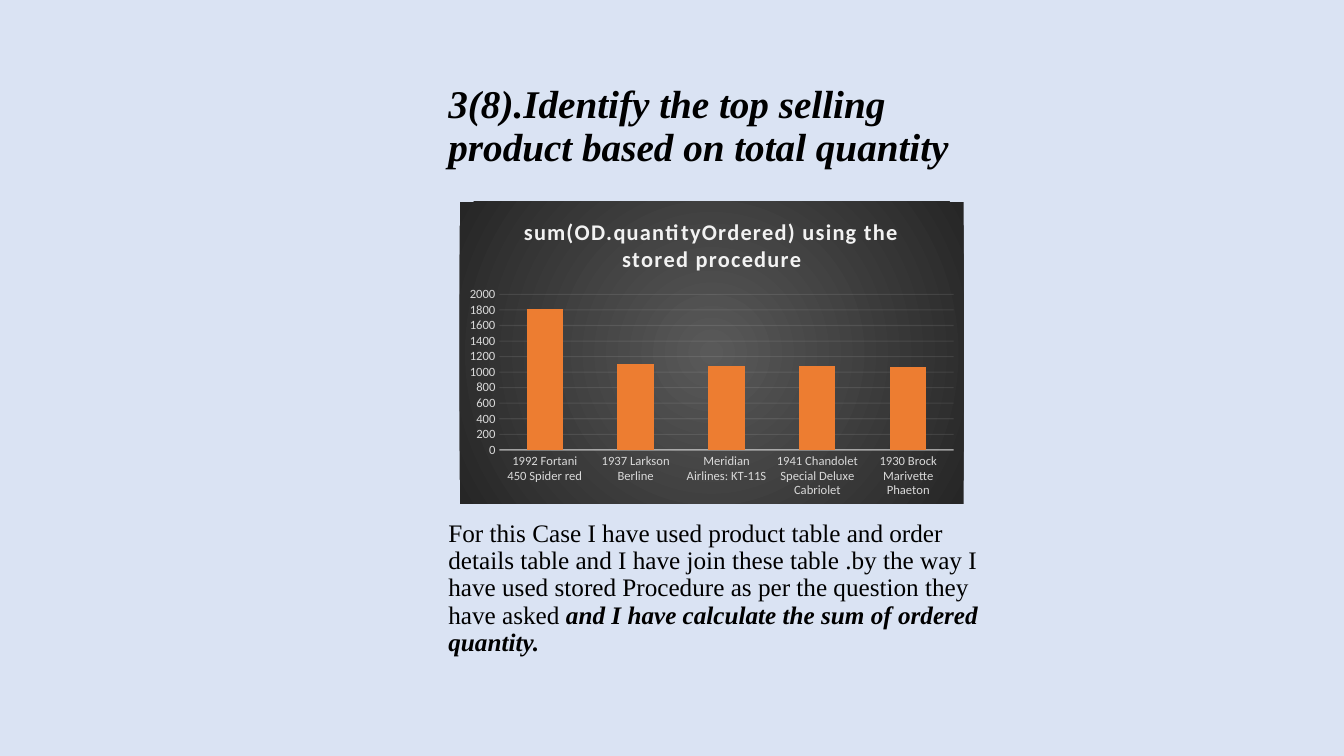
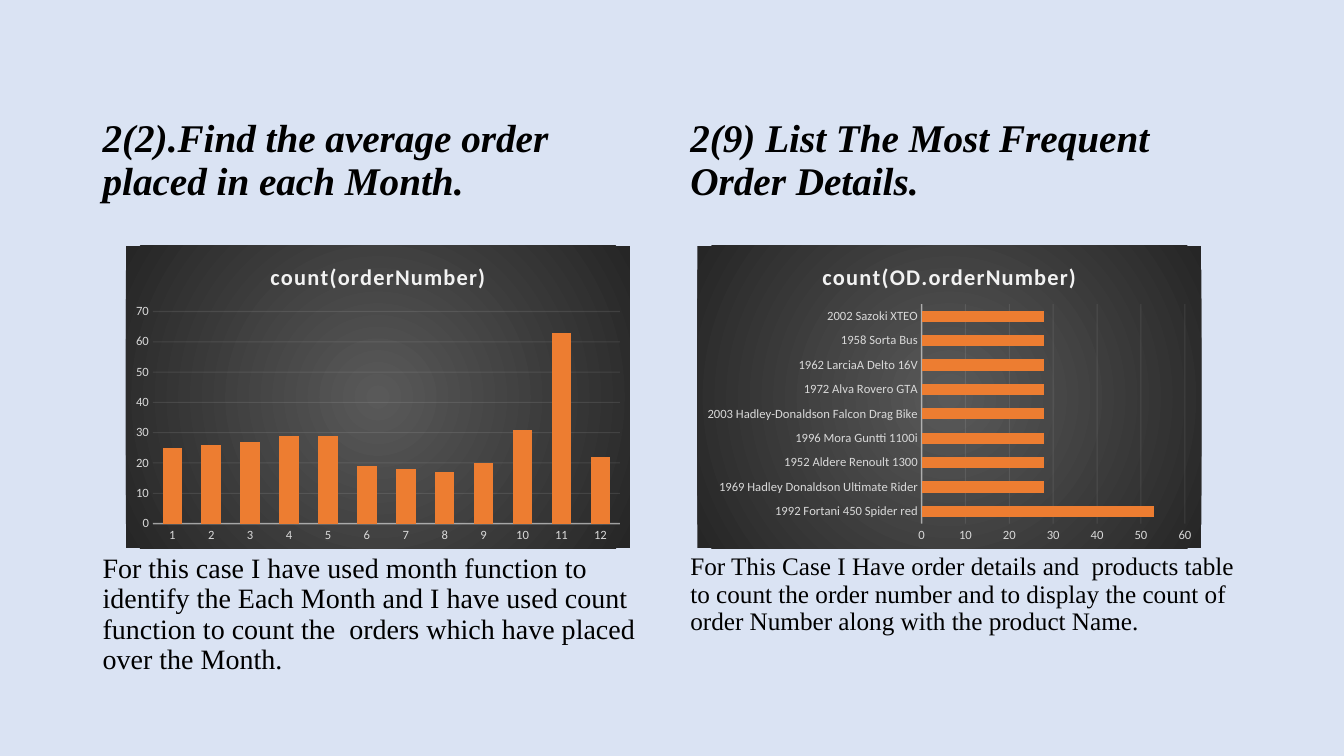
"""Build two slides of order-analysis panels, each a heading, a chart and a remark."""
from pptx import Presentation
from pptx.chart.data import CategoryChartData
from pptx.dml.color import RGBColor
from pptx.enum.chart import XL_CHART_TYPE, XL_TICK_MARK
from pptx.oxml import ns, parse_xml
from pptx.util import Pt

BACKGROUND = "DAE3F3"
INK = "000000"
BAR = "ED7D31"
PALE = "F2F2F2"
LABEL = "D9D9D9"
PANEL_CENTRE, PANEL_EDGE = "595959", "262626"
TEXT_FONT, CHART_FONT = "Times New Roman", "Calibri"
TEXT_WIDTH = 408
CHART_WIDTH, CHART_HEIGHT = 360, 216
LINE_PITCH = {18: 19.45, 20: 21.65, 28: 30.6}


def color(value):
    return RGBColor.from_string(value)


def style_font(font, name, size, value, bold=False, italic=False):
    font.name, font.size = name, Pt(size)
    font.color.rgb = color(value)
    font.bold, font.italic = bold, italic


def add_slide(presentation):
    slide = presentation.slides.add_slide(presentation.slide_layouts[6])
    fill = slide.background.fill
    fill.solid()
    fill.fore_color.rgb = color(BACKGROUND)
    return slide


def add_text(slide, left, top, height, size, runs):
    box = slide.shapes.add_textbox(Pt(left), Pt(top), Pt(TEXT_WIDTH), Pt(height))
    frame = box.text_frame
    frame.word_wrap = True
    frame.margin_top = frame.margin_bottom = 0
    paragraph = frame.paragraphs[0]
    paragraph.line_spacing = Pt(LINE_PITCH[size])
    for content, strong in runs:
        run = paragraph.add_run()
        run.text = content
        style_font(run.font, TEXT_FONT, size, INK, strong, strong)


def fade(chart, query, percent):
    for node in chart.element.xpath(query):
        alpha = node.makeelement(ns.qn("a:alpha"), {"val": str(percent * 1000)})
        node.append(alpha)


def fill_panel(chart):
    stops = "".join(
        f'<a:gs pos="{position}"><a:srgbClr val="{value}"/></a:gs>'
        for position, value in ((0, PANEL_CENTRE), (100000, PANEL_EDGE))
    )
    properties = parse_xml(
        f'<c:spPr {ns.nsdecls("c", "a")}><a:gradFill><a:gsLst>{stops}</a:gsLst>'
        '<a:path path="circle"><a:fillToRect l="50000" t="50000" r="50000" b="50000"/>'
        "</a:path></a:gradFill><a:ln><a:noFill/></a:ln></c:spPr>"
    )
    chart.element.find(ns.qn("c:txPr")).addprevious(properties)


def style_axes(chart):
    category, value = chart.category_axis, chart.value_axis
    for axis in (category, value):
        axis.major_tick_mark = axis.minor_tick_mark = XL_TICK_MARK.NONE
        style_font(axis.tick_labels.font, CHART_FONT, 9, LABEL)
    category.has_major_gridlines = False
    value.has_major_gridlines = True
    value.format.line.fill.background()
    for line, width in (
        (category.format.line, 1),
        (value.major_gridlines.format.line, 0.75),
    ):
        line.color.rgb = color(PALE)
        line.width = Pt(width)
    fade(chart, ".//c:catAx/c:spPr//a:srgbClr", 54)
    fade(chart, ".//c:majorGridlines//a:srgbClr", 10)


def add_title(chart, title):
    chart.has_title = True
    run = chart.chart_title.text_frame.paragraphs[0].add_run()
    run.text = title
    style_font(run.font, CHART_FONT, 16, PALE, bold=True)
    chart.chart_title.include_in_layout = False
    for properties in chart.element.xpath(".//c:title//a:r/a:rPr"):
        properties.set("spc", "100")


def add_bars(slide, left, top, kind, title, series_name, values, gap, overlap):
    data = CategoryChartData()
    data.categories = list(values)
    data.add_series(series_name, list(values.values()))
    chart = slide.shapes.add_chart(
        kind, Pt(left), Pt(top), Pt(CHART_WIDTH), Pt(CHART_HEIGHT), data
    ).chart
    chart.has_legend = False
    style_font(chart.font, CHART_FONT, 10, INK)
    add_title(chart, title)
    style_axes(chart)
    fill_panel(chart)
    plot = chart.plots[0]
    plot.vary_by_categories = False
    plot.gap_width, plot.overlap = gap, overlap
    fill = plot.series[0].format.fill
    fill.solid()
    fill.fore_color.rgb = color(BAR)


def add_panel(slide, left, top, heading, remark, remark_top, remark_size):
    add_text(slide, left, top, 64, 28, [(heading, True)])
    add_text(slide, left, remark_top, 100, remark_size, remark)


def build_top_products(presentation):
    slide = add_slide(presentation)
    remark = [
        (
            "For this Case I have used product table and order details table and "
            "I have join these table .by the way I have used stored Procedure as "
            "per the question they have asked ",
            False,
        ),
        ("and I have calculate the sum of ordered quantity.", True),
    ]
    add_panel(
        slide, 313.2, 59.6,
        "3(8).Identify the top selling product based on total quantity",
        remark, 371.6, 18,
    )
    quantities = {
        "1992 Fortani 450 Spider red": 1810,
        "1937 Larkson Berline": 1110,
        "Meridian Airlines: KT-11S": 1080,
        "1941 Chandolet Special Deluxe Cabriolet": 1080,
        "1930 Brock Marivette Phaeton": 1070,
    }
    add_bars(
        slide, 328.4, 144, XL_CHART_TYPE.COLUMN_STACKED,
        "sum(OD.quantityOrdered) using the stored procedure",
        "Series 1", quantities, 150, 100,
    )


def build_order_counts(presentation):
    slide = add_slide(presentation)
    add_panel(
        slide, 66.2, 84, "2(2).Find the average order placed in each Month.",
        [(
            "For this case I have used month function to identify the Each Month "
            "and I have used count function to count the  orders which have "
            "placed  over the Month.",
            False,
        )],
        395.6, 20,
    )
    add_panel(
        slide, 486, 84, "2(9) List The Most Frequent Order Details.",
        [(
            "For This Case I Have order details and  products table to count the "
            "order number and to display the count of order Number along with "
            "the product Name.",
            False,
        )],
        395.6, 18,
    )
    counts = (25, 26, 27, 29, 29, 19, 18, 17, 20, 31, 63, 22)
    months = {str(month): count for month, count in enumerate(counts, 1)}
    add_bars(
        slide, 90, 175.7, XL_CHART_TYPE.COLUMN_CLUSTERED,
        "count(orderNumber)", "count(orderNumber)", months, 100, -24,
    )
    products = {"1992 Fortani 450 Spider red": 53}
    products.update(dict.fromkeys((
        "1969 Hadley Donaldson Ultimate Rider",
        "1952 Aldere Renoult 1300",
        "1996 Mora Guntti 1100i",
        "2003 Hadley-Donaldson Falcon Drag Bike",
        "1972 Alva Rovero GTA",
        "1962 LarciaA Delto 16V",
        "1958 Sorta Bus",
        "2002 Sazoki XTEO",
    ), 28))
    add_bars(
        slide, 498.2, 175.7, XL_CHART_TYPE.BAR_CLUSTERED,
        "count(OD.orderNumber)", "count(OD.orderNumber)", products, 115, -20,
    )


def main():
    presentation = Presentation()
    presentation.slide_width, presentation.slide_height = Pt(960), Pt(540)
    build_top_products(presentation)
    build_order_counts(presentation)
    presentation.save("out.pptx")


if __name__ == "__main__":
    main()
